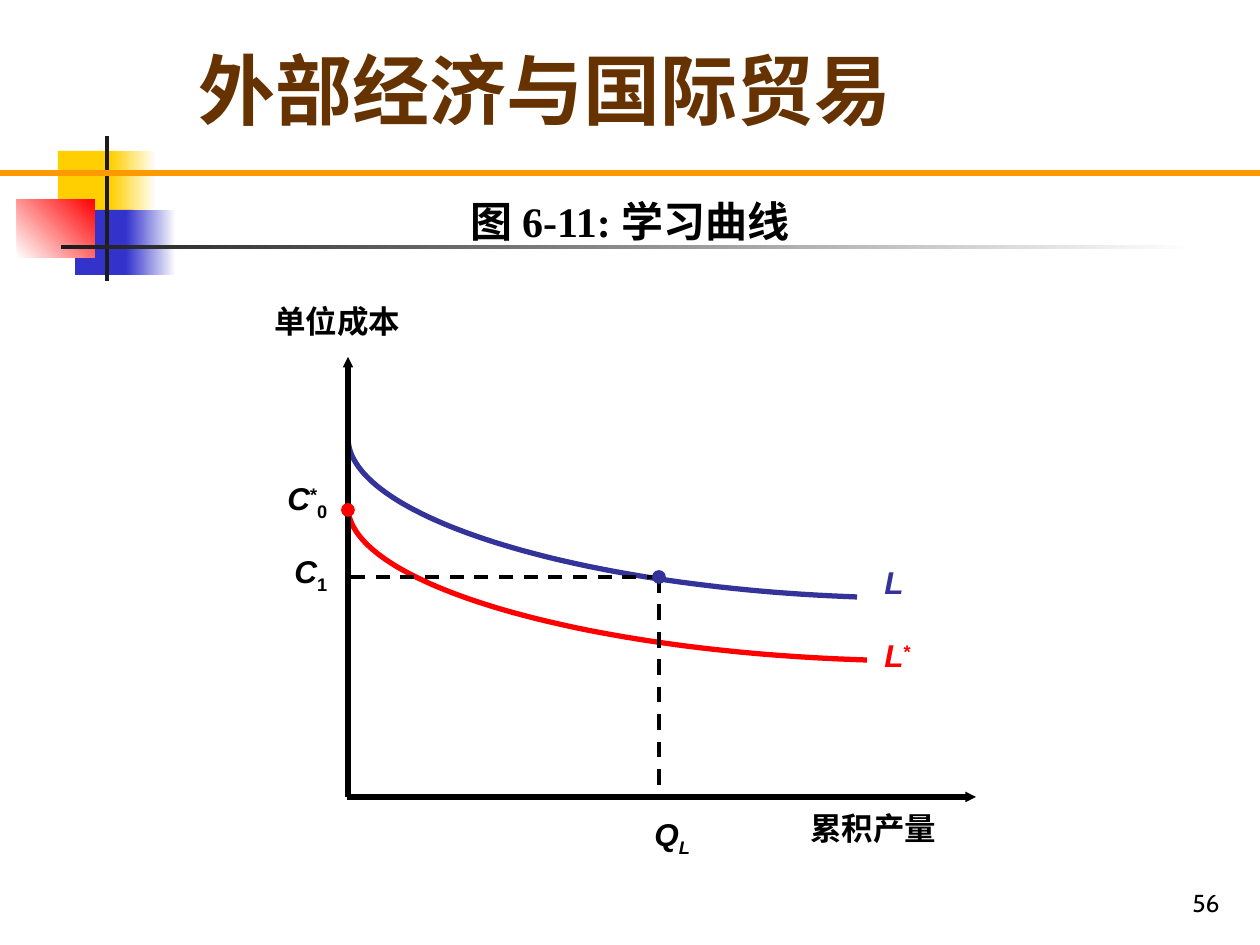
from pptx import Presentation
from pptx.dml.color import RGBColor
from pptx.enum.dml import MSO_LINE
from pptx.enum.shapes import MSO_CONNECTOR, MSO_SHAPE
from pptx.enum.text import MSO_ANCHOR, PP_ALIGN
from pptx.oxml.ns import qn
from pptx.util import Emu, Pt
from lxml.etree import SubElement

PX = 914400 / 126
THEME = {
    "black": "000000", "white": "FFFFFF", "charcoal": "1C1C1C",
    "yellow": "FFCF01", "blue": "3333CC", "red": "FF0000",
    "orange": "FF9900", "brown": "663300", "navy": "333399",
    "title": {"size": Pt(44), "name": "Times New Roman", "bold": True},
    "caption": {"size": Pt(24), "name": "Times New Roman", "bold": True},
    "number": {"size": Pt(14), "name": "Cabin"},
    "label": {"size": Pt(18), "name": "Arial", "bold": True},
}
ITALIC, UPRIGHT = {"italic": True}, {"italic": False}
SUPER, SUB = "30000", "-25000"


def px(*lengths):
    """Turn px lengths into EMU."""
    return [Emu(round(length * PX)) for length in lengths]


def color(name):
    return RGBColor.from_string(THEME[name])


prs = Presentation()
prs.slide_width, prs.slide_height = px(1260, 945)
slide = prs.slides.add_slide(prs.slide_layouts[6])
shapes = slide.shapes

# Corner ornament: box, gradient colours, counter-clockwise angle
ornament = [
    ((58, 151, 60, 66), ["yellow"], 0),
    ((111, 151, 45, 66), ["yellow", "white"], 0),
    ((75, 210, 58, 65), ["blue"], 0),
    ((126, 210, 50, 65), ["blue", "white"], 0),
    ((17, 199, 78, 59), ["white", "red"], 45),
    ((105, 136, 4, 145), ["charcoal"], 0),
    ((61, 245, 1134, 4), ["charcoal", "white"], 0),
]
for box, tints, angle in ornament:
    block = shapes.add_shape(MSO_SHAPE.RECTANGLE, *px(*box))
    block.shadow.inherit = False
    block.line.fill.background()
    if len(tints) == 1:
        block.fill.solid()
        block.fill.fore_color.rgb = color(tints[0])
    else:
        block.fill.gradient()
        block.fill.gradient_angle = angle
        for stop, tint in zip(block.fill.gradient_stops, tints):
            stop.color.rgb = color(tint)

# Learning curves: cubic Bezier control points, drawn as fine polylines
curves = [
    ("navy", [(857, 597), (573, 587), (345, 515), (348, 436)]),
    ("red", [(867, 660), (573, 651), (345, 581), (348, 505)]),
]
STEPS = 60
for tint, controls in curves:
    points = []
    for step in range(STEPS + 1):
        t = step / STEPS
        weights = [(1 - t) ** 3, 3 * t * (1 - t) ** 2, 3 * t * t * (1 - t), t ** 3]
        points.append(tuple(
            round(PX * sum(w * point[axis] for w, point in zip(weights, controls)))
            for axis in (0, 1)))
    builder = shapes.build_freeform(*points[0])
    builder.add_line_segments(points[1:], close=False)
    curve = builder.convert_to_shape()
    curve.shadow.inherit = False
    curve.fill.background()
    curve.line.color.rgb = color(tint)
    curve.line.width = Pt(3)

# Rule, axes and guides: ends, colour, format, arrowhead
DASH = MSO_LINE.DASH
lines = [
    ((0, 173, 1260, 173), "orange", {"width": Pt(3)}, False),
    ((347, 797, 976, 797), "black", {"width": Pt(3)}, True),
    ((348, 797, 348, 357), "black", {"width": Pt(3)}, True),
    ((661, 577, 345, 577), "black", {"width": Pt(2), "dash_style": DASH}, False),
    ((659, 577, 659, 797), "black", {"width": Pt(2.25), "dash_style": DASH}, False),
]
for ends, tint, line_format, arrow in lines:
    stroke = shapes.add_connector(MSO_CONNECTOR.STRAIGHT, *px(*ends))
    stroke.line.color.rgb = color(tint)
    for attribute, value in line_format.items():
        setattr(stroke.line, attribute, value)
    if arrow:
        SubElement(stroke.line._get_or_add_ln(), qn("a:tailEnd"),
                   type="triangle", w="sm", len="sm")
    SubElement(stroke._element.spPr, qn("a:effectLst"))

# Marked points on the curves
for box, tint in [((342, 504, 12, 12), "red"), ((653, 571, 12, 12), "navy")]:
    dot = shapes.add_shape(MSO_SHAPE.OVAL, *px(*box))
    dot.shadow.inherit = False
    dot.fill.solid()
    dot.fill.fore_color.rgb = color(tint)
    dot.line.color.rgb = color(tint)
    dot.line.width = Pt(1)

# Texts: box, style, colour, anchor, alignment, runs (text, format, baseline)
TOP, MIDDLE, BOTTOM = MSO_ANCHOR.TOP, MSO_ANCHOR.MIDDLE, MSO_ANCHOR.BOTTOM
LEFT, CENTER, RIGHT = PP_ALIGN.LEFT, PP_ALIGN.CENTER, PP_ALIGN.RIGHT
texts = [
    ((10, 10, 1071, 158), "title", "brown", MIDDLE, CENTER,
     [("外部经济与国际贸易", {}, None)]),
    ((0, 179, 1260, 73), "caption", "black", BOTTOM, CENTER,
     [("图 6-11: 学习曲线", {}, None)]),
    ((970, 861, 262, 63), "number", "black", BOTTOM, RIGHT, [("56", {}, None)]),
    ((262, 296, 168, 50), "label", "black", TOP, LEFT, [("单位成本", {}, None)]),
    ((798, 803, 168, 50), "label", "black", TOP, LEFT, [("累积产量", {}, None)]),
    ((872, 557, 202, 50), "label", "navy", TOP, LEFT, [("L", ITALIC, None)]),
    ((872, 630, 180, 50), "label", "red", TOP, LEFT,
     [("L", ITALIC, None), ("*", UPRIGHT, SUPER)]),
    ((275, 473, 103, 55), "label", "black", TOP, LEFT,
     [("C", ITALIC, None), ("*", UPRIGHT, SUPER), ("0", UPRIGHT, SUB)]),
    ((282, 546, 80, 55), "label", "black", TOP, LEFT,
     [("C", ITALIC, None), ("1", UPRIGHT, SUB)]),
    ((642, 809, 80, 55), "label", "black", TOP, LEFT,
     [("Q", ITALIC, None), ("L", ITALIC, SUB)]),
]
for box, style, tint, anchor, alignment, parts in texts:
    frame = shapes.add_textbox(*px(*box)).text_frame
    frame.word_wrap = True
    frame.vertical_anchor = anchor
    paragraph = frame.paragraphs[0]
    paragraph.alignment = alignment
    for wording, run_format, baseline in parts:
        run = paragraph.add_run()
        run.text = wording
        run.font.color.rgb = color(tint)
        for attribute, value in {**THEME[style], **run_format}.items():
            setattr(run.font, attribute, value)
        if baseline:
            run.font._element.set("baseline", baseline)

prs.save("out.pptx")
